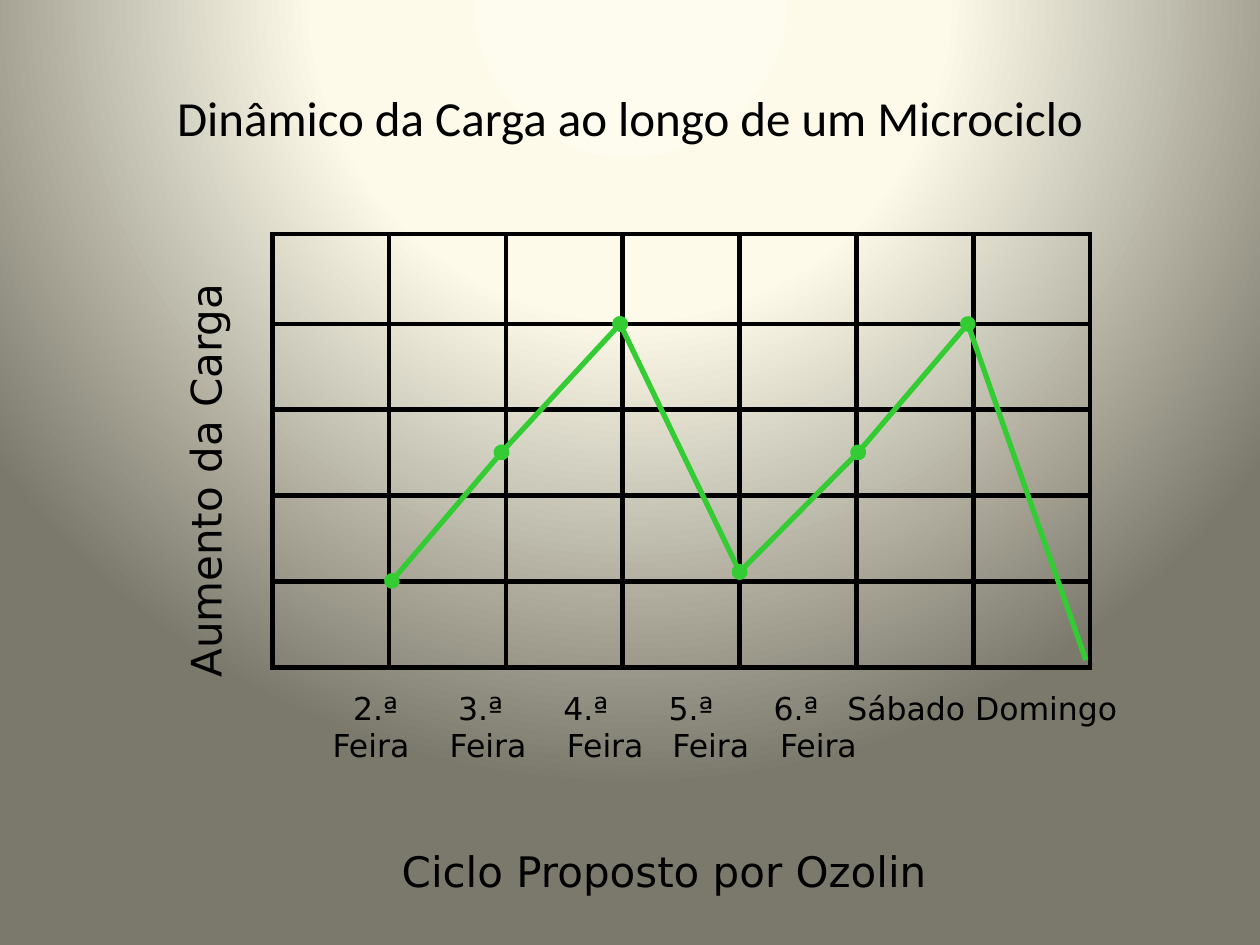
"""Build a slide charting the training load across a weekly microcycle."""
from dataclasses import dataclass
from itertools import pairwise

from pptx import Presentation
from pptx.dml.color import RGBColor
from pptx.enum.shapes import MSO_CONNECTOR
from pptx.enum.text import MSO_ANCHOR, PP_ALIGN
from pptx.oxml import parse_xml
from pptx.oxml.ns import nsdecls
from pptx.slide import Slide
from pptx.util import Cm, Pt

STRAIGHT = MSO_CONNECTOR.STRAIGHT
MIDDLE = MSO_ANCHOR.MIDDLE
CENTER, LEFT = PP_ALIGN.CENTER, PP_ALIGN.LEFT

HUES = {"ink": "000000", "load": "33CC33",
        "glow": "FEFCEE", "cream": "FDFAEA", "dusk": "7B796B"}
FONT = "DejaVu Sans"
COLS, ROWS = 7, 5
LOADS = [(7.9, 11.71), (10.11, 9.12), (12.5, 6.53), (14.91, 11.53),
         (17.3, 9.12), (19.51, 6.53), (21.89, 13.31)]


@dataclass
class Line:
    """A line of text with the centres of its tabbed words in cm."""
    text: str
    tabs: tuple[float, ...] = ()


@dataclass
class Label:
    """A text box measured in cm."""
    lines: list[Line]
    box: tuple[float, float, float, float]
    size: int
    align: PP_ALIGN = CENTER
    turn: int = 0


DAYS = [f"{n}.ª" for n in range(2, 7)] + ["Sábado", "Domingo"]
DAY_TABS = (*(round(2.82 + 2.12 * n, 2) for n in range(5)), 13.52, 16.34)
FEIRA_TABS = (2.73, 5.09, 7.45, 9.58, 11.75)
LABELS = [
    Label([Line("Ciclo Proposto por Ozolin")], (5.49, 17.12, 15.8, 1.6), 24),
    Label([Line("\t" + "\t".join(DAYS), DAY_TABS),
           Line("\tFeira" * len(FEIRA_TABS), FEIRA_TABS)],
          (4.5, 13.92, 20.8, 2), 18, LEFT),
    Label([Line("Aumento da Carga")], (-0.33, 8.56, 10.31, 2.26), 24, turn=270),
]


def paint(slide: Slide) -> None:
    """Give the slide its radial background."""
    stops = "".join(
        f'<a:gs pos="{pos}000"><a:srgbClr val="{HUES[hue]}"/></a:gs>'
        for pos, hue in ((0, "glow"), (40, "cream"), (100, "dusk")))
    back = parse_xml(
        f'<p:bg {nsdecls("p", "a")}><p:bgPr><a:gradFill rotWithShape="1">'
        f'<a:gsLst>{stops}</a:gsLst><a:path path="circle">'
        '<a:fillToRect l="50000" t="-80000" r="50000" b="180000"/></a:path>'
        '</a:gradFill><a:effectLst/></p:bgPr></p:bg>')
    slide.element.cSld.insert(0, back)


def add_title(slide: Slide, text: str) -> None:
    """Fill and place the title."""
    title = slide.shapes.title
    title.left, title.top = Cm(1.27), Cm(0.76)
    title.width, title.height = Cm(22.86), Cm(3.18)
    frame = title.text_frame
    frame.text = text
    frame.vertical_anchor = MIDDLE
    frame.paragraphs[0].alignment = CENTER
    font = frame.paragraphs[0].runs[0].font
    font.name, font.size = "Calibri", Pt(28)
    font.color.rgb = RGBColor.from_string(HUES["ink"])


def add_grid(slide: Slide) -> None:
    """Draw the empty ruled table."""
    table = slide.shapes.add_table(
        ROWS, COLS, Cm(5.49), Cm(4.72), Cm(16.49), Cm(8.73)).table
    table.first_row = table.horz_banding = False
    for col in table.columns:
        col.width = Cm(16.49 / COLS)
    for num, row in enumerate(table.rows):
        row.height = Cm(1.73 if num else 1.81)
    for cell in table.iter_cells():
        cell.fill.background()
        props = cell._tc.get_or_add_tcPr()
        for num, side in enumerate("LRTB"):
            props.insert(num, parse_xml(
                f'<a:ln{side} {nsdecls("a")} w="{Pt(3)}"><a:solidFill>'
                f'<a:srgbClr val="{HUES["ink"]}"/></a:solidFill></a:ln{side}>'))


def add_loads(slide: Slide) -> None:
    """Join the daily loads, with dots on all but the last stretch."""
    group = slide.shapes.add_group_shape()
    for start, end in pairwise(LOADS):
        link = group.shapes.add_connector(
            STRAIGHT, *(Cm(val) for val in (*start, *end)))
        link.line.width = Pt(3)
        link.line.color.rgb = RGBColor.from_string(HUES["load"])
        props = link.element.spPr
        props.append(parse_xml(f'<a:effectLst {nsdecls("a")}/>'))
        if end != LOADS[-1]:
            for tip in ("headEnd", "tailEnd"):
                props.get_or_add_ln().append(
                    parse_xml(f'<a:{tip} {nsdecls("a")} type="oval"/>'))


def add_label(slide: Slide, label: Label) -> None:
    """Write one label."""
    box = slide.shapes.add_textbox(*(Cm(val) for val in label.box))
    box.rotation = label.turn
    frame = box.text_frame
    frame.word_wrap = True
    frame.text = "\n".join(line.text for line in label.lines)
    for num, (para, line) in enumerate(zip(frame.paragraphs, label.lines)):
        para.alignment = label.align
        para.line_spacing = 0.8
        if num:
            para.space_before = Pt(label.size * 0.2)
        if line.tabs:
            stops = "".join(f'<a:tab pos="{Cm(tab)}" algn="ctr"/>'
                            for tab in line.tabs)
            para._p.get_or_add_pPr().append(parse_xml(
                f'<a:tabLst {nsdecls("a")}>{stops}</a:tabLst>'))
        for run in para.runs:
            run.font.name, run.font.size = FONT, Pt(label.size)
            run.font.color.rgb = RGBColor.from_string(HUES["ink"])


def main() -> None:
    """Build and save the slide."""
    deck = Presentation()
    deck.slide_width, deck.slide_height = Cm(25.4), Cm(19.05)
    slide = deck.slides.add_slide(deck.slide_layouts[5])
    paint(slide)
    add_title(slide, "Dinâmico da Carga ao longo de um Microciclo")
    add_grid(slide)
    add_loads(slide)
    for label in LABELS:
        add_label(slide, label)
    deck.save("out.pptx")


if __name__ == "__main__":
    main()
